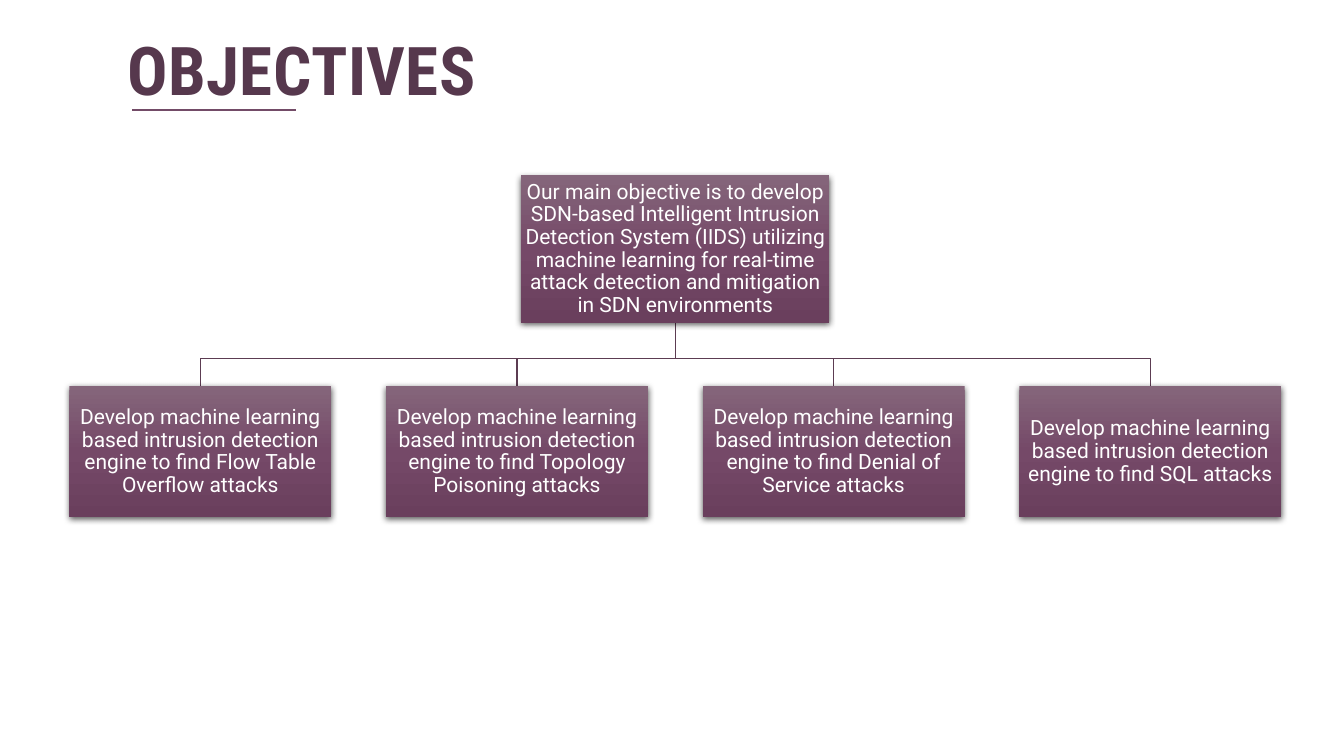
import lxml.etree
import pptx
import pptx.dml.color
import pptx.enum.shapes
import pptx.enum.text
import pptx.oxml
import pptx.util
from pptx.util import Cm, Pt

COLORS = {
    "title": "56384D", "rule": "734B67", "branch": "5C3C52", "text": "FFFFFF",
    "top": "85667B", "middle": "754968", "bottom": "6A3F5D", "shadow": "000000",
}
NS = 'xmlns:a="http://schemas.openxmlformats.org/drawingml/2006/main"'
GRADIENT = f"""<a:gradFill {NS} rotWithShape="1"><a:gsLst>
<a:gs pos="0"><a:srgbClr val="{COLORS['top']}"/></a:gs>
<a:gs pos="50000"><a:srgbClr val="{COLORS['middle']}"/></a:gs>
<a:gs pos="100000"><a:srgbClr val="{COLORS['bottom']}"/></a:gs>
</a:gsLst><a:lin ang="5400000" scaled="0"/></a:gradFill>"""
SHADOW = f"""<a:effectLst {NS}>
<a:outerShdw blurRad="57150" dist="19050" dir="5400000" algn="ctr" rotWithShape="0">
<a:srgbClr val="{COLORS['shadow']}"><a:alpha val="63000"/></a:srgbClr>
</a:outerShdw></a:effectLst>"""


def rgb(name):
    return pptx.dml.color.RGBColor.from_string(COLORS[name])


def add_box(s, left, top, width, height, text):
    """Add a shaded rectangle with centred text."""
    sp = s.shapes.add_shape(pptx.enum.shapes.MSO_SHAPE.RECTANGLE,
                            Cm(left), Cm(top), Cm(width), Cm(height))
    sp.line.fill.background()
    ln = sp.element.spPr.find(pptx.oxml.ns.qn("a:ln"))
    ln.addprevious(pptx.oxml.parse_xml(GRADIENT))
    ln.addnext(pptx.oxml.parse_xml(SHADOW))
    tf = sp.text_frame
    tf.word_wrap = True
    tf.vertical_anchor = pptx.enum.text.MSO_ANCHOR.MIDDLE
    tf.margin_left = tf.margin_right = tf.margin_top = tf.margin_bottom = Cm(0.03)
    tf.text = text
    p = tf.paragraphs[0]
    p.alignment = pptx.enum.text.PP_ALIGN.CENTER
    p.line_spacing = 0.9
    r = p.runs[0]
    r.font.name = "Roboto"
    r.font.size = Pt(15)
    r.font.color.rgb = rgb("text")


prs = pptx.Presentation()
prs.slide_width, prs.slide_height = Cm(33.87), Cm(19.05)
s = prs.slides.add_slide(prs.slide_layouts[6])

# Title and its rule
title = s.shapes.add_textbox(Cm(2.97), Cm(0.58), Cm(11.86), Cm(2.44))
tf = title.text_frame
tf.word_wrap = True
tf.text = "OBJECTIVES"
r = tf.paragraphs[0].runs[0]
r.font.name = "Roboto Condensed"
r.font.size = Pt(48)
r.font.bold = True
r.font.color.rgb = rgb("title")
r.font._element.set("spc", "30")

rule = s.shapes.add_connector(pptx.enum.shapes.MSO_CONNECTOR.STRAIGHT,
                              Cm(3.33), Cm(2.77), Cm(7.47), Cm(2.77))
rule.line.color.rgb = rgb("rule")
rule.line.width = Pt(1.5)
lxml.etree.SubElement(rule.element.spPr, pptx.oxml.ns.qn("a:effectLst"))

# Objective tree: one main box above a row of equal boxes
targets = ["Flow Table Overflow", "Topology Poisoning", "Denial of Service", "SQL"]
row_left, row_top, pitch = 1.75, 9.73, 7.98
box_w, box_h = 6.6, 3.3
main_w, main_h, main_top = 7.77, 3.71, 4.42
center = row_left + (pitch * (len(targets) - 1) + box_w) / 2
main_bottom = main_top + main_h
bus_y = 9.04
lefts = [row_left + pitch * i for i in range(len(targets))]

for left in reversed(lefts):
    x = left + box_w / 2
    branch = s.shapes.build_freeform(Cm(center), Cm(main_bottom))
    branch.add_line_segments([(Cm(center), Cm(bus_y)), (Cm(x), Cm(bus_y)),
                              (Cm(x), Cm(row_top))], close=False)
    sp = branch.convert_to_shape()
    sp.shadow.inherit = False
    sp.fill.background()
    sp.line.color.rgb = rgb("branch")
    sp.line.width = Pt(1)

add_box(s, center - main_w / 2, main_top, main_w, main_h,
        "Our main objective is to develop SDN-based Intelligent Intrusion Detection "
        "System (IIDS) utilizing machine learning for real-time attack detection and "
        "mitigation in SDN environments")
for left, target in zip(lefts, targets):
    add_box(s, left, row_top, box_w, box_h,
            "Develop machine learning based intrusion detection engine "
            f"to find {target} attacks")

prs.save("out.pptx")
